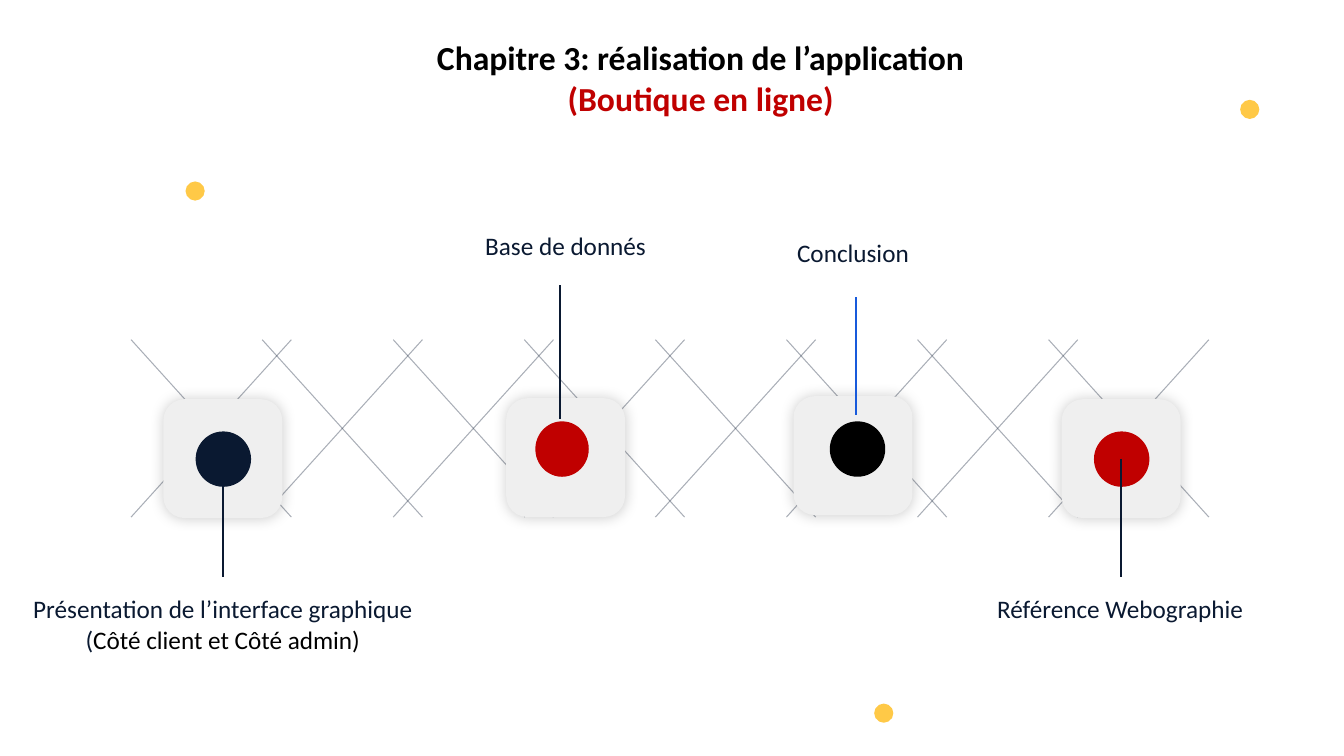
from dataclasses import dataclass

from lxml.etree import SubElement
from pptx import Presentation
from pptx.dml.color import RGBColor
from pptx.enum.shapes import MSO_CONNECTOR as Connector, MSO_SHAPE as Shape
from pptx.enum.text import MSO_ANCHOR as Anchor, MSO_AUTO_SIZE as AutoSize, PP_ALIGN as Align
from pptx.oxml.ns import qn
from pptx.util import Inches, Pt

NAVY = RGBColor(0x0A, 0x19, 0x31)
BLUE = RGBColor(0x18, 0x5A, 0xDB)
RED = RGBColor(0xC0, 0x00, 0x00)
BLACK = RGBColor(0x00, 0x00, 0x00)
TILE_GREY = RGBColor(0xEF, 0xEF, 0xEF)
YELLOW = RGBColor(0xFF, 0xC9, 0x47)

FONT = "Calibri"
TILE_SIZE = 1.18
LATTICE_COUNT = 8
LATTICE_STEP = 1.3
LATTICE_WIDTH = 1.59


@dataclass
class Chapter:
    """One stop of the timeline: offsets are measured from its tile."""
    tile: tuple
    dot: tuple
    dot_colour: RGBColor
    stem: tuple
    stem_colour: RGBColor
    label_box: tuple
    label_parts: tuple


CHAPTERS = [
    Chapter((1.62, 3.96), (0.32, 0.32, 0.55, 0.55), NAVY, (0.59, 0.59, 1.76), NAVY,
            (0.22, 5.84, 3.98, 0.71),
            (("Présentation de l’interface graphique (", NAVY),
             ("Côté client et Côté admin)", BLACK))),
    Chapter((5.02, 3.95), (0.29, 0.23, 0.53, 0.55), RED, (0.53, -1.12, 0.21), NAVY,
            (4.25, 2.24, 2.72, 0.4), (("Base de donnés", NAVY),)),
    Chapter((7.87, 3.93), (0.36, 0.25, 0.55, 0.55), BLACK, (0.62, -0.98, 0.19), BLUE,
            (7.1, 2.31, 2.72, 0.4), (("Conclusion", NAVY),)),
    Chapter((10.53, 3.96), (0.32, 0.32, 0.55, 0.55), RED, (0.59, 0.59, 1.76), NAVY,
            (9.75, 5.84, 2.72, 0.4), (("Référence Webographie", NAVY),)),
]
ACCENT_DOTS = [(1.84, 1.8), (12.3, 0.99), (8.67, 6.98)]


def style_run(run, size, colour, bold=False):
    """Give a run its font, size and colour."""
    run.font.name, run.font.size, run.font.bold = FONT, Pt(size), bold
    run.font.color.rgb = colour


def add_plain_shape(slide, kind, box, colour):
    """Add a filled shape without outline or shadow."""
    shape = slide.shapes.add_shape(kind, *map(Inches, box))
    shape.shadow.inherit = False
    shape.fill.solid()
    shape.fill.fore_color.rgb = colour
    shape.line.fill.background()
    return shape


def add_line(slide, start, end, colour, width, opacity=100):
    """Add a straight line with an optional opacity in percent."""
    line = slide.shapes.add_connector(Connector.STRAIGHT, *map(Inches, (*start, *end)))
    line.line.width = Pt(width)
    line.line.color.rgb = colour
    properties = line._element.spPr
    if opacity < 100:
        tint = properties.find(".//" + qn("a:srgbClr"))
        SubElement(tint, qn("a:alpha"), val=str(opacity * 1000))
    SubElement(properties, qn("a:effectLst"))


def add_glow_shadow(shape):
    """Surround a shape with a soft, centred shadow."""
    effects = shape._element.spPr.find(qn("a:effectLst"))
    shadow = SubElement(effects, qn("a:outerShdw"), blurRad=str(Pt(10)), dist="0", dir="0",
                        algn="ctr", rotWithShape="0")
    tint = SubElement(shadow, qn("a:srgbClr"), val="000000")
    SubElement(tint, qn("a:alpha"), val="20000")


def draw_title(slide, box):
    """Fill and place the two-line title."""
    title = slide.shapes.title
    title.left, title.top, title.width, title.height = map(Inches, box)
    frame = title.text_frame
    frame.text = "Chapitre 3: réalisation de l’application\n(Boutique en ligne)"
    frame.word_wrap, frame.auto_size = True, AutoSize.NONE
    frame.vertical_anchor = Anchor.TOP
    for paragraph, colour in zip(frame.paragraphs, (BLACK, RED)):
        paragraph.alignment = Align.CENTER
        style_run(paragraph.runs[0], 24, colour, bold=True)


def draw_lattice(slide, left, top, height):
    """Draw the row of crossing thin lines behind the tiles."""
    bottom = top + height
    for index in range(LATTICE_COUNT):
        start = left + index * LATTICE_STEP
        end = start + LATTICE_WIDTH
        add_line(slide, (start, top), (end, bottom), NAVY, 0.75, opacity=35)
        add_line(slide, (end, top), (start, bottom), NAVY, 0.75, opacity=35)


def draw_label(slide, box, parts):
    """Write a centred label made of coloured parts."""
    frame = slide.shapes.add_textbox(*map(Inches, box)).text_frame
    frame.word_wrap = True
    paragraph = frame.paragraphs[0]
    paragraph.alignment = Align.CENTER
    for text, colour in parts:
        run = paragraph.add_run()
        run.text = text
        style_run(run, 18, colour)


def draw_chapter(slide, chapter):
    """Draw the tile, dot, stem and label of one chapter."""
    left, top = chapter.tile
    tile = add_plain_shape(slide, Shape.ROUNDED_RECTANGLE,
                           (left, top, TILE_SIZE, TILE_SIZE), TILE_GREY)
    tile.adjustments[0] = 0.18
    add_glow_shadow(tile)
    dot_x, dot_y, dot_width, dot_height = chapter.dot
    add_plain_shape(slide, Shape.OVAL, (left + dot_x, top + dot_y, dot_width, dot_height),
                    chapter.dot_colour)
    stem_x, stem_start, stem_end = chapter.stem
    add_line(slide, (left + stem_x, top + stem_start), (left + stem_x, top + stem_end),
             chapter.stem_colour, 1.5)
    draw_label(slide, chapter.label_box, chapter.label_parts)


def main():
    """Build the slide and save it."""
    deck = Presentation()
    deck.slide_width, deck.slide_height = Inches(13.33), Inches(7.5)
    slide = deck.slides.add_slide(deck.slide_layouts[5])
    draw_title(slide, (1.61, 0.32, 10.68, 0.91))
    draw_lattice(slide, 1.3, 3.37, 1.76)
    for chapter in CHAPTERS:
        draw_chapter(slide, chapter)
    for left, top in ACCENT_DOTS:
        add_plain_shape(slide, Shape.OVAL, (left, top, 0.19, 0.19), YELLOW)
    deck.save("out.pptx")


if __name__ == "__main__":
    main()
